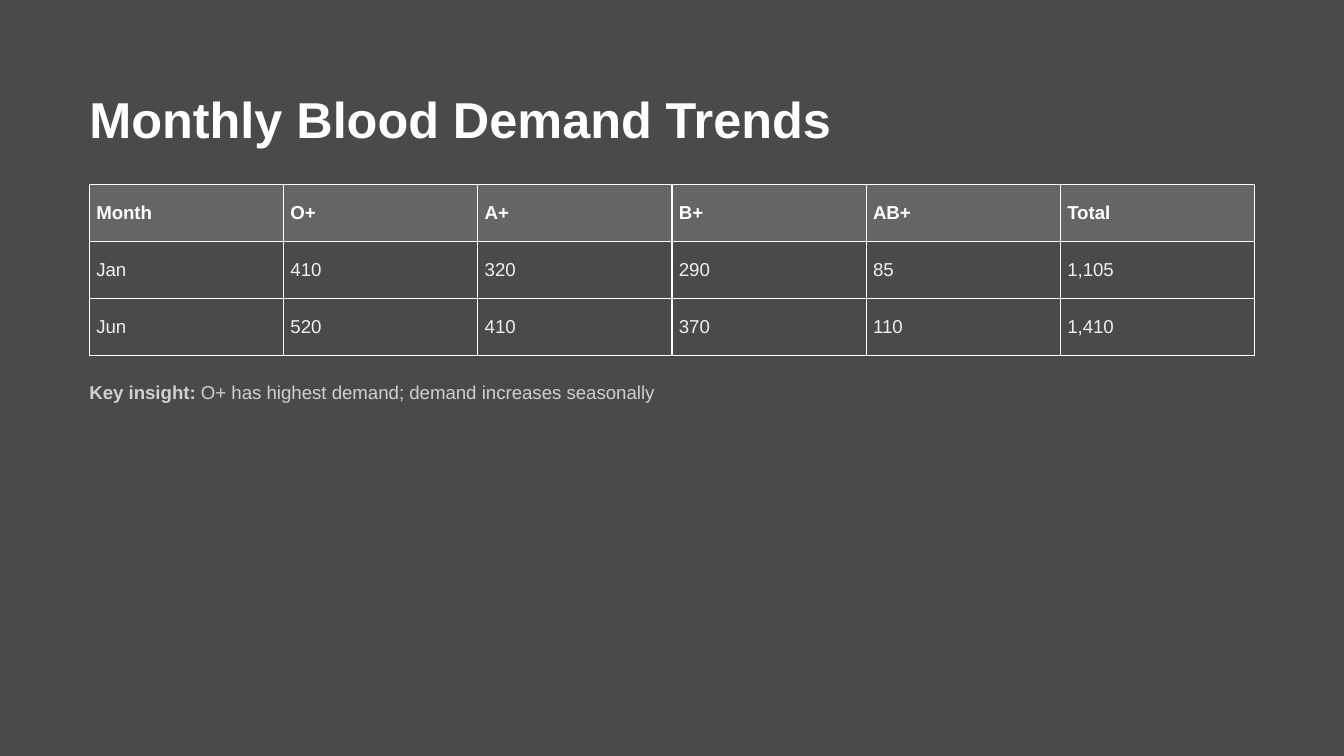
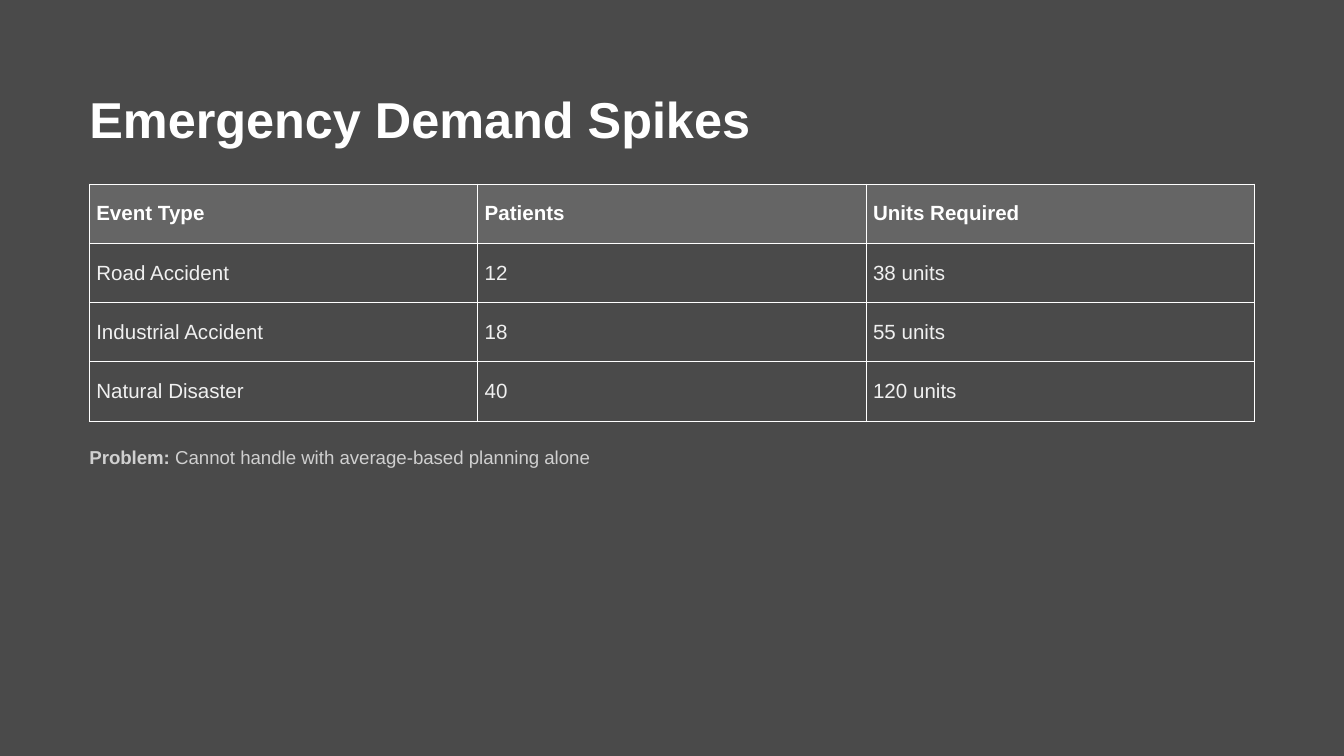
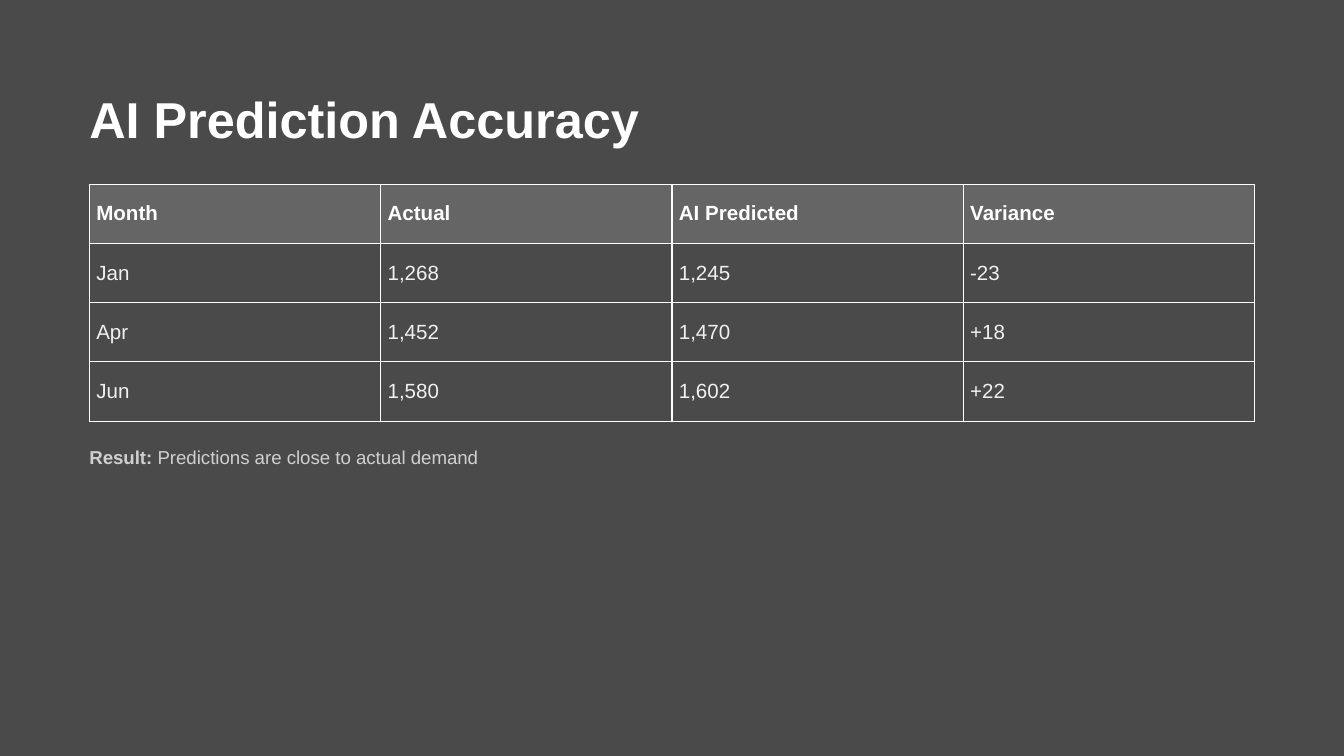
from lxml import etree
from pptx import Presentation
from pptx import util as u
from pptx.dml.color import RGBColor
from pptx.enum import text
from pptx.oxml import ns

COLORS = {
    "background": "4A4A4A",
    "header": "656565",
    "white": "FFFFFF",
    "body": "F0F0F0",
    "note": "D0D0D0",
}
FONT = "Arial"

# Shared layout, in centimetres
LEFT, TITLE_TOP, TABLE_TOP = 1.69, 1.69, 3.48
TEXT_WIDTH, TABLE_WIDTH = 22.45, 22.02
NOTE_GAP = 0.4
CELL_MARGIN = 0.13

# Title, table rows (header first), row height, table text size, note label, note
SLIDES = [
    ("Monthly Blood Demand Trends",
     [("Month", "O+", "A+", "B+", "AB+", "Total"),
      ("Jan", "410", "320", "290", "85", "1,105"),
      ("Jun", "520", "410", "370", "110", "1,410")],
     1.08, 10, "Key insight:", " O+ has highest demand; demand increases seasonally"),
    ("Emergency Demand Spikes",
     [("Event Type", "Patients", "Units Required"),
      ("Road Accident", "12", "38 units"),
      ("Industrial Accident", "18", "55 units"),
      ("Natural Disaster", "40", "120 units")],
     1.12, 11, "Problem:", " Cannot handle with average-based planning alone"),
    ("AI Prediction Accuracy",
     [("Month", "Actual", "AI Predicted", "Variance"),
      ("Jan", "1,268", "1,245", "-23"),
      ("Apr", "1,452", "1,470", "+18"),
      ("Jun", "1,580", "1,602", "+22")],
     1.12, 11, "Result:", " Predictions are close to actual demand"),
]


def rgb(name):
    return RGBColor.from_string(COLORS[name])


def style_span(span, size, color, bold):
    span.font.name = FONT
    span.font.size = u.Pt(size)
    span.font.bold = bold
    span.font.color.rgb = rgb(color)


def add_line(page, top, height, spans, size, color, spacing):
    """Add one line of text made of (words, bold) spans."""
    box = page.shapes.add_textbox(u.Cm(LEFT), u.Cm(top), u.Cm(TEXT_WIDTH), u.Cm(height))
    frame = box.text_frame
    frame.word_wrap = True
    frame.auto_size = text.MSO_AUTO_SIZE.SHAPE_TO_FIT_TEXT
    frame.margin_left = frame.margin_right = frame.margin_top = frame.margin_bottom = 0
    para = frame.paragraphs[0]
    para.line_spacing = u.Pt(spacing)
    for words, bold in spans:
        span = para.add_run()
        span.text = words
        style_span(span, size, color, bold)


def add_borders(cell):
    properties = cell._tc.get_or_add_tcPr()
    for side in ("a:lnL", "a:lnR", "a:lnT", "a:lnB"):
        line = etree.SubElement(properties, ns.qn(side), w=str(u.Pt(0.75)))
        fill = etree.SubElement(line, ns.qn("a:solidFill"))
        etree.SubElement(fill, ns.qn("a:srgbClr"), val=COLORS["white"])


def style_cell(cell, words, size, is_header):
    margin = u.Cm(CELL_MARGIN)
    cell.margin_left = cell.margin_right = cell.margin_top = cell.margin_bottom = margin
    cell.vertical_anchor = text.MSO_ANCHOR.MIDDLE
    add_borders(cell)
    if is_header:
        cell.fill.solid()
        cell.fill.fore_color.rgb = rgb("header")
    else:
        cell.fill.background()
    cell.text_frame.text = words
    span = cell.text_frame.paragraphs[0].runs[0]
    style_span(span, size, "white" if is_header else "body", is_header)


def add_data_table(page, rows, row_height, size):
    columns = len(rows[0])
    table = page.shapes.add_table(
        len(rows), columns, u.Cm(LEFT), u.Cm(TABLE_TOP),
        u.Cm(TABLE_WIDTH), u.Cm(row_height * len(rows))).table
    table.horz_banding = False
    for column in table.columns:
        column.width = u.Cm(TABLE_WIDTH / columns)
    for r, values in enumerate(rows):
        table.rows[r].height = u.Cm(row_height)
        for c, words in enumerate(values):
            style_cell(table.cell(r, c), words, size, is_header=r == 0)


def add_page(deck, title, rows, row_height, size, label, note):
    page = deck.slides.add_slide(deck.slide_layouts[6])
    page.background.fill.solid()
    page.background.fill.fore_color.rgb = rgb("background")
    add_data_table(page, rows, row_height, size)
    add_line(page, TITLE_TOP, 1.12, [(title, True)], 27, "white", 32)
    note_top = TABLE_TOP + row_height * len(rows) + NOTE_GAP
    add_line(page, note_top, 0.46, [(label, True), (note, False)], 10, "note", 14)


def main():
    deck = Presentation()
    deck.slide_width, deck.slide_height = u.Cm(25.4), u.Cm(14.29)
    for content in SLIDES:
        add_page(deck, *content)
    deck.save("out.pptx")


if __name__ == "__main__":
    main()
